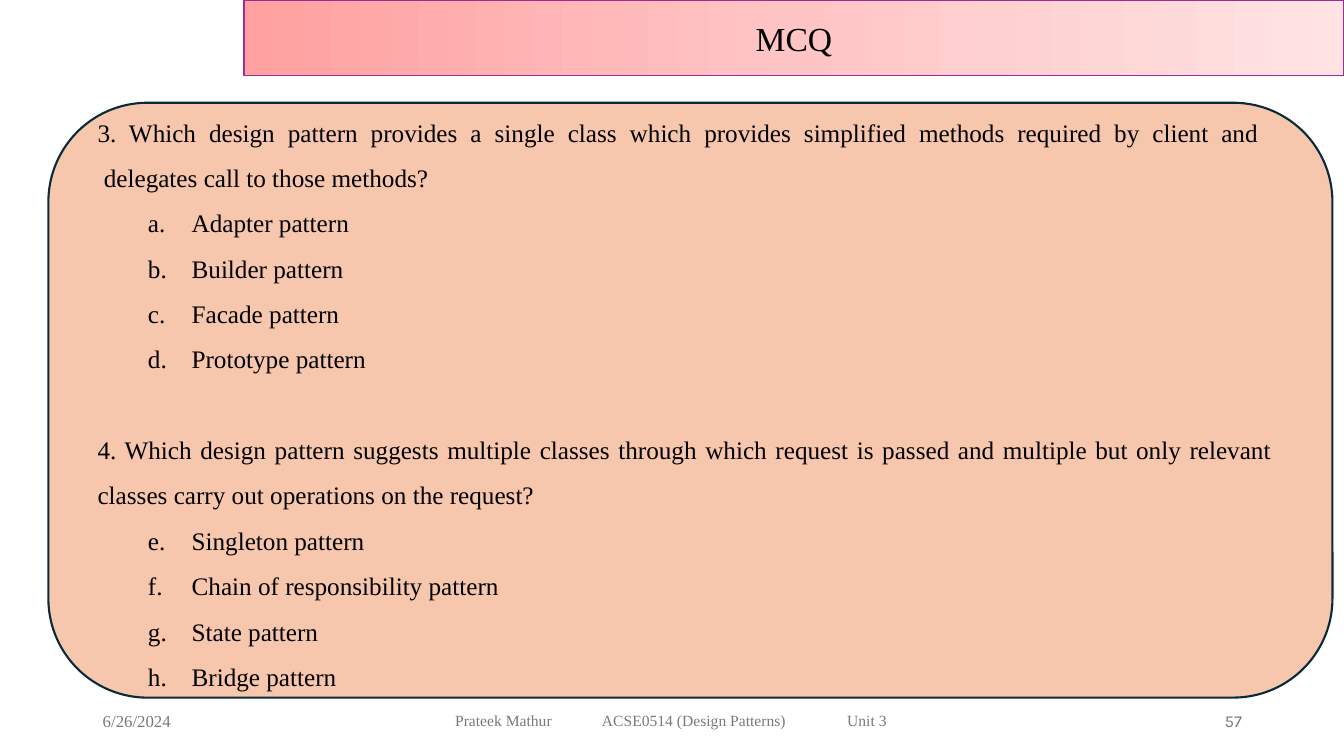
import copy

import pptx
import pptx.dml.color
import pptx.enum.shapes
import pptx.enum.text
import pptx.oxml.ns
import pptx.oxml.xmlchemy
import pptx.util

Cm = pptx.util.Cm
Pt = pptx.util.Pt
RGBColor = pptx.dml.color.RGBColor
Align = pptx.enum.text.PP_ALIGN
Preset = pptx.enum.shapes.MSO_SHAPE
qn = pptx.oxml.ns.qn
new_element = pptx.oxml.xmlchemy.OxmlElement

TITLE = "MCQ"
QUESTIONS = [
    (
        "3. Which design pattern provides a single class which provides simplified "
        "methods required by client and \v delegates call to those methods?",
        ["Adapter pattern", "Builder pattern", "Facade pattern", "Prototype pattern"],
    ),
    (
        "4. Which design pattern suggests multiple classes through which request is "
        "passed and multiple but only relevant classes carry out operations on the request?",
        ["Singleton pattern", "Chain of responsibility pattern", "State pattern", "Bridge pattern"],
    ),
]
DATE = "6/26/2024"
FOOTER = ["Prateek Mathur", "ACSE0514 (Design Patterns)", "Unit 3"]
FOOTER_TABS = [Cm(3.7), Cm(9.88)]
PAGE_NUMBER = "57"

SERIF = "Times New Roman"
BLACK = RGBColor(0x00, 0x00, 0x00)
GREY = RGBColor(0x79, 0x79, 0x79)
PEACH = RGBColor(0xF6, 0xC6, 0xAD)
NAVY = RGBColor(0x09, 0x2A, 0x39)
PURPLE = RGBColor(0xA0, 0x2B, 0x93)
BANNER_STOPS = [
    (0, RGBColor(0xFF, 0xA0, 0xA0)),
    (0.5, RGBColor(0xFF, 0xC5, 0xC5)),
    (1, RGBColor(0xFF, 0xE3, 0xE3)),
]

PANEL_BOX = (Cm(1.22), Cm(2.59), Cm(32.36), Cm(14.99))
BANNER_BOX = (Cm(6.15), Cm(0), Cm(27.72), Cm(1.9))
QUESTION_BOX = (Cm(2.21), Cm(2.44), Cm(30.1), Cm(15.11))
FOOTER_TOP, FOOTER_HEIGHT = Cm(17.65), Cm(1.02)
OPTION_MARGIN, OPTION_HANG = Cm(2.37), Cm(1.1)
QUESTION_GAP = Pt(32.4)


def add_outlined_shape(slide, preset, box, line_color, line_width):
    shape = slide.shapes.add_shape(preset, *box)
    shape.shadow.inherit = False
    shape.line.color.rgb = line_color
    shape.line.width = line_width
    return shape


def add_text_box(slide, box):
    shape = slide.shapes.add_textbox(*box)
    shape.text_frame.word_wrap = True
    shape.text_frame.vertical_anchor = pptx.enum.text.MSO_ANCHOR.MIDDLE
    return shape.text_frame


def write(frame, text, size=18, font=SERIF, color=BLACK, align=Align.LEFT,
          spacing=None, before=None, number=None, tabs=()):
    paragraph = frame.paragraphs[0]
    if paragraph.runs:
        paragraph = frame.add_paragraph()
    paragraph.alignment = align
    if spacing:
        paragraph.line_spacing = spacing
    if before:
        paragraph.space_before = before
    properties = paragraph._p.get_or_add_pPr()
    if number:
        paragraph.level = 1
        properties.set("marL", str(OPTION_MARGIN))
        properties.set("indent", str(-OPTION_HANG))
        bullet = new_element("a:buAutoNum")
        bullet.set("type", "alphaLcPeriod")
        bullet.set("startAt", str(number))
        properties.append(bullet)
    if tabs:
        tab_list = new_element("a:tabLst")
        for position in tabs:
            tab = new_element("a:tab")
            tab.set("pos", str(position))
            tab.set("algn", "l")
            tab_list.append(tab)
        properties.append(tab_list)
    for index, line in enumerate(text.split("\v")):
        if index:
            paragraph.add_line_break()
        run = paragraph.add_run()
        run.text = line
        run.font.size = Pt(size)
        run.font.name = font
        run.font.color.rgb = color


def add_banner(slide):
    banner = add_outlined_shape(slide, Preset.RECTANGLE, BANNER_BOX, PURPLE, Pt(1))
    banner.fill.gradient()
    banner.fill.gradient_angle = 0
    stop_list = banner._element.spPr.find(".//" + qn("a:gsLst"))
    stop_list.append(copy.deepcopy(stop_list[0]))
    for stop, (position, color) in zip(banner.fill.gradient_stops, BANNER_STOPS):
        stop.position = position
        stop.color.rgb = color
    banner.text_frame.vertical_anchor = pptx.enum.text.MSO_ANCHOR.MIDDLE
    write(banner.text_frame, TITLE, size=24, align=Align.CENTER)


def add_questions(slide):
    frame = add_text_box(slide, QUESTION_BOX)
    first_number = 1
    for index, (question, options) in enumerate(QUESTIONS):
        write(frame, question, align=Align.JUSTIFY, spacing=1.5,
              before=QUESTION_GAP if index else None)
        for option in options:
            write(frame, option, align=Align.JUSTIFY, spacing=1.5, number=first_number)
        first_number += len(options)


def add_footer(slide):
    parts = [
        (Cm(2.34), Cm(7.62), DATE, dict(size=12)),
        (Cm(11.22), Cm(11.43), "\t".join(FOOTER), dict(size=11.1, tabs=FOOTER_TABS)),
        (Cm(23.93), Cm(7.62), PAGE_NUMBER, dict(size=12, font="Karla", align=Align.RIGHT)),
    ]
    for left, width, text, style in parts:
        frame = add_text_box(slide, (left, FOOTER_TOP, width, FOOTER_HEIGHT))
        write(frame, text, color=GREY, **style)


def main():
    presentation = pptx.Presentation()
    presentation.slide_width, presentation.slide_height = Cm(33.87), Cm(19.05)
    slide = presentation.slides.add_slide(presentation.slide_layouts[6])
    panel = add_outlined_shape(slide, Preset.ROUNDED_RECTANGLE, PANEL_BOX, NAVY, Pt(1.5))
    panel.fill.solid()
    panel.fill.fore_color.rgb = PEACH
    add_banner(slide)
    add_questions(slide)
    add_footer(slide)
    presentation.save("out.pptx")


if __name__ == "__main__":
    main()
